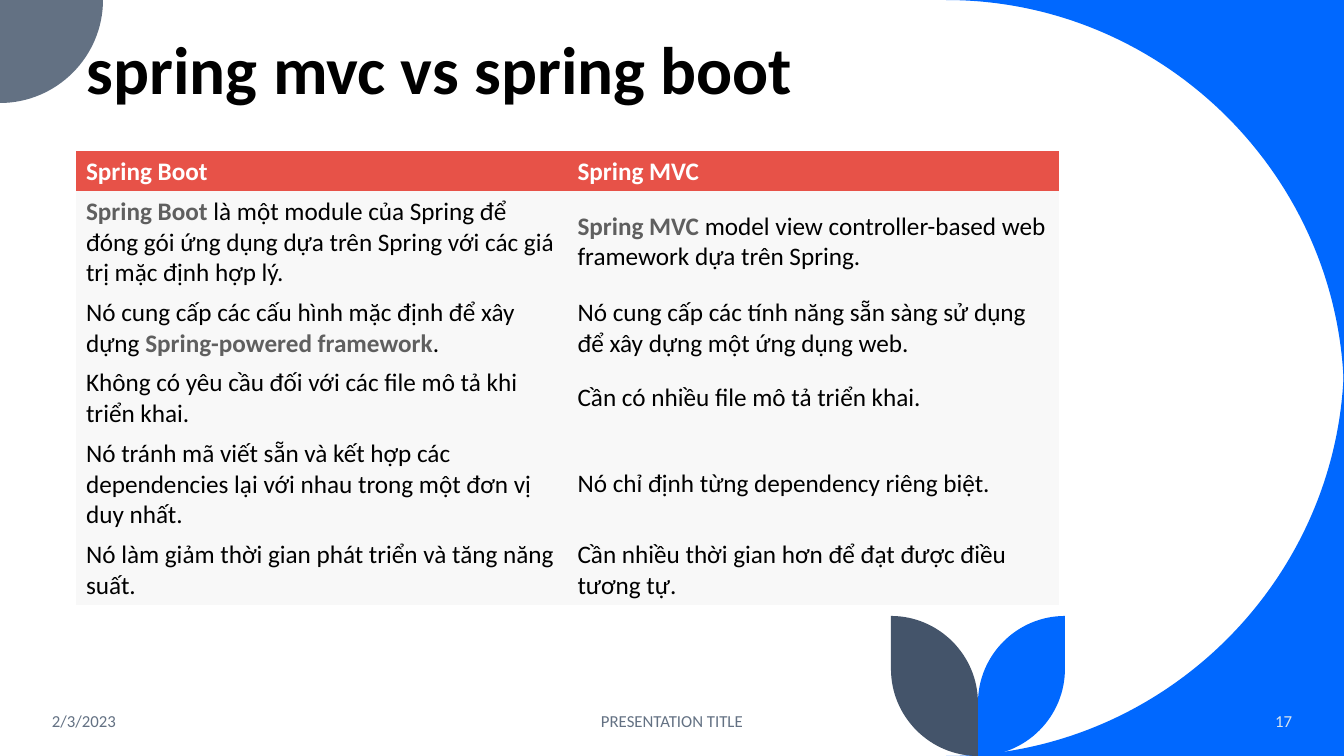
from lxml.etree import SubElement
from pptx import Presentation
from pptx.dml.color import RGBColor
from pptx.enum.text import MSO_ANCHOR as Anchor, PP_ALIGN as Align
from pptx.oxml.ns import qn
from pptx.util import Emu, Pt

FONT = "Calibri"
BLUE, SLATE, NAVY = "0068FF", "637183", "44546A"
BLACK, WHITE, GREY = "000000", "FFFFFF", "5F5F5F"
HEADER_FILL, BODY_FILL, PALE = "E75248", "F8F8F8", "DAE5EF"

# Content: each cell is a list of (text, is_keyword) pieces
TITLE = "spring mvc vs spring boot"
HEADINGS = ["Spring Boot", "Spring MVC"]
COMPARISON = [
    ([("Spring Boot ", True),
      ("là một module của Spring để đóng gói ứng dụng dựa trên Spring "
       "với các giá trị mặc định hợp lý.", False)],
     [("Spring MVC", True),
      (" model view controller-based web framework dựa trên Spring.", False)]),
    ([("Nó cung cấp các cấu hình mặc định để xây dựng ", False),
      ("Spring-powered framework", True), (".", False)],
     [("Nó cung cấp các tính năng sẵn sàng sử dụng để xây dựng "
       "một ứng dụng web.", False)]),
    ([("Không có yêu cầu đối với các file mô tả khi triển khai.", False)],
     [("Cần có nhiều file mô tả triển khai.", False)]),
    ([("Nó tránh mã viết sẵn và kết hợp các dependencies lại với nhau "
       "trong một đơn vị duy nhất.", False)],
     [("Nó chỉ định từng dependency riêng biệt.", False)]),
    ([("Nó làm giảm thời gian phát triển và tăng năng suất.", False)],
     [("Cần nhiều thời gian hơn để đạt được điều tương tự.", False)]),
]
# text, left, width, alignment, colour
FOOTER = [
    ("2/3/2023", 42, 302, Align.LEFT, SLATE),
    ("PRESENTATION TITLE", 445, 454, Align.CENTER, SLATE),
    ("17", 1119, 183, Align.RIGHT, PALE),
]

# Layout in px
SLIDE_W, SLIDE_H = 1344, 756
TABLE_BOX = (76, 151, 983, 454)
BIG_R, SMALL_R = 398, 103
LEAF_W, LEAF_H, STEM_X = 87, 140, 978
ROUND = 0.55  # pull of the control points of a quarter circle


def px(length):
    return Emu(round(length * 914400 / 100.8))


def rgb(colour):
    return RGBColor.from_string(colour)


def style(run, size, colour, bold=False):
    run.font.name, run.font.size, run.font.bold = FONT, Pt(size), bold
    run.font.color.rgb = rgb(colour)


def quarter(start, corner, end):
    """Two control points and the end of a curve bulging towards corner."""
    controls = [tuple(p + ROUND * (c - p) for p, c in zip(point, corner))
                for point in (start, end)]
    return controls + [end]


def add_outline(slide, start, segments, colour):
    """Each segment is a list of one point (line) or three points (curve)."""
    builder = slide.shapes.build_freeform(*map(px, start))
    builder.add_line_segments(
        [(px(x), px(y)) for segment in segments for x, y in segment], close=True)
    outline = builder.convert_to_shape()
    outline.shadow.inherit = False
    outline.fill.solid()
    outline.fill.fore_color.rgb = rgb(colour)
    outline.line.fill.background()
    # Merge each run of three lines that stands for a curve
    lines = iter(list(outline._element.iter(qn("a:lnTo"))))
    for segment in segments:
        steps = [next(lines) for _ in segment]
        if len(steps) == 3:
            curve = SubElement(steps[0].getparent(), qn("a:cubicBezTo"))
            steps[0].addprevious(curve)
            for step in steps:
                curve.append(step[0])
                step.getparent().remove(step)


def add_text(slide, text, box, size, colour, align, anchor, bold=False):
    frame = slide.shapes.add_textbox(*map(px, box)).text_frame
    frame.word_wrap = True
    frame.vertical_anchor = anchor
    frame.text = text
    paragraph = frame.paragraphs[0]
    paragraph.alignment = align
    style(paragraph.runs[0], size, colour, bold)
    return paragraph


def fill_cell(cell, pieces, fill):
    cell.fill.solid()
    cell.fill.fore_color.rgb = rgb(fill)
    cell.vertical_anchor = Anchor.MIDDLE
    for text, colour, bold in pieces:
        run = cell.text_frame.paragraphs[0].add_run()
        run.text = text
        style(run, 18, colour, bold)


def add_decoration(slide):
    # Corner areas: corner, start of the curve, its bulge and its end
    left, low = SLIDE_W - BIG_R, SLIDE_H - BIG_R
    corners = [
        ((SLIDE_W, 0), (left, 0), (SLIDE_W, 0), (SLIDE_W, BIG_R), BLUE),
        ((SLIDE_W, SLIDE_H), (SLIDE_W, low), (SLIDE_W, SLIDE_H), (left, SLIDE_H), BLUE),
        ((0, 0), (SMALL_R, 0), (SMALL_R, SMALL_R), (0, SMALL_R), SLATE),
    ]
    for corner, start, bulge, end, colour in corners:
        add_outline(slide, corner, [[start], quarter(start, bulge, end)], colour)
    # Pair of leaves mirrored about the stem
    top = SLIDE_H - LEAF_H
    for side, colour in ((1, BLUE), (-1, NAVY)):
        tip_x = STEM_X + side * LEAF_W
        tip, base = (tip_x, top), (STEM_X, SLIDE_H)
        outer, inner = (tip_x, SLIDE_H - LEAF_W), (STEM_X, top + LEAF_W)
        add_outline(slide, tip, [
            [outer], quarter(outer, (tip_x, SLIDE_H), base),
            [inner], quarter(inner, (STEM_X, top), tip)], colour)


def add_comparison(slide):
    table = slide.shapes.add_table(
        len(COMPARISON) + 1, len(HEADINGS), *map(px, TABLE_BOX)).table
    table.first_row = table.horz_banding = False
    # Plain table style without borders
    table._tbl.tblPr.find(qn("a:tableStyleId")).text = (
        "{2D5ABB26-0587-4C30-8999-92F81FD0307C}")
    # Rows grow to fit their text
    for row in table.rows:
        row.height = 0
    for column, heading in enumerate(HEADINGS):
        table.columns[column].width = px(TABLE_BOX[2] / len(HEADINGS))
        fill_cell(table.cell(0, column), [(heading, WHITE, True)], HEADER_FILL)
        for row, cells in enumerate(COMPARISON, start=1):
            pieces = [(text, GREY if keyword else BLACK, keyword)
                      for text, keyword in cells[column]]
            fill_cell(table.cell(row, column), pieces, BODY_FILL)


def main():
    deck = Presentation()
    deck.slide_width, deck.slide_height = px(SLIDE_W), px(SLIDE_H)
    slide = deck.slides.add_slide(deck.slide_layouts[6])
    add_decoration(slide)
    title = add_text(slide, TITLE, (77, 23, 1141, 91), 48, BLACK,
                     Align.LEFT, Anchor.BOTTOM, bold=True)
    title.line_spacing = 0.9
    add_comparison(slide)
    for text, left, width, align, colour in FOOTER:
        add_text(slide, text, (left, 701, width, 40), 12, colour, align, Anchor.MIDDLE)
    deck.save("out.pptx")


if __name__ == "__main__":
    main()
